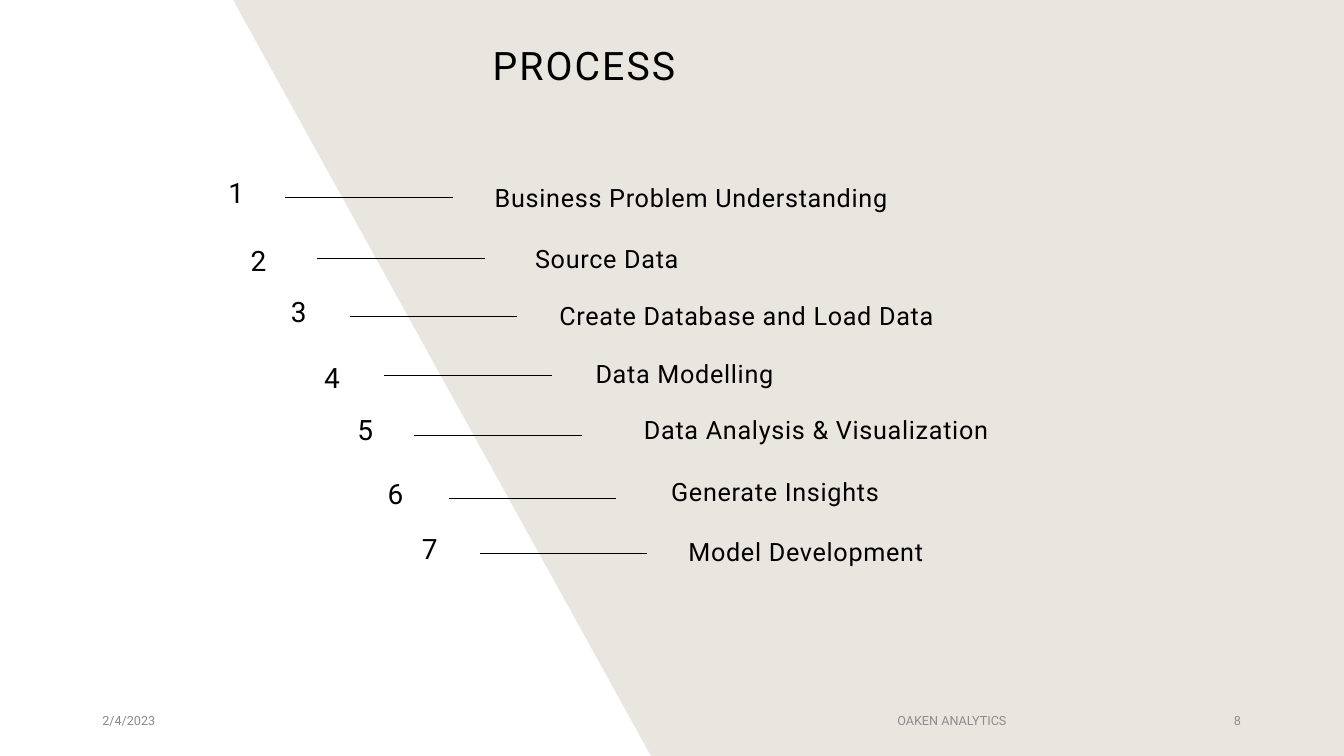
from dataclasses import dataclass

from pptx import Presentation
from pptx.dml.color import RGBColor
from pptx.enum.shapes import MSO_CONNECTOR
from pptx.enum.text import MSO_ANCHOR, PP_ALIGN
from pptx.oxml.ns import qn
from pptx.util import Pt

LEFT, CENTER, RIGHT = PP_ALIGN.LEFT, PP_ALIGN.CENTER, PP_ALIGN.RIGHT
TOP, MIDDLE = MSO_ANCHOR.TOP, MSO_ANCHOR.MIDDLE
STRAIGHT = MSO_CONNECTOR.STRAIGHT


@dataclass(frozen=True)
class Theme:
    """Colours, font and type sizes of the slide."""
    font: str = "Roboto"
    ink: str = "000000"
    sand: str = "E9E6DF"
    date: str = "898989"
    footer: str = "8C8C8C"
    title_size: int = 28
    number_size: int = 20
    label_size: int = 18
    footer_size: int = 9


class SlideBuilder:
    """Draws styled elements on one slide, with lengths in points."""

    def __init__(self, slide, theme):
        self.slide = slide
        self.theme = theme

    def text(self, text, left, top, width, height, *, size, color=None,
             align=LEFT, anchor=MIDDLE, line_spacing=None, tracking=0):
        """Add a text box holding one formatted paragraph."""
        box = self.slide.shapes.add_textbox(Pt(left), Pt(top), Pt(width), Pt(height))
        frame = box.text_frame
        frame.word_wrap = True
        frame.vertical_anchor = anchor
        paragraph = frame.paragraphs[0]
        paragraph.alignment = align
        if line_spacing:
            paragraph.line_spacing = line_spacing
        run = paragraph.add_run()
        run.text = text
        run.font.name = self.theme.font
        run.font.size = Pt(size)
        run.font.color.rgb = RGBColor.from_string(color or self.theme.ink)
        if tracking:
            run.font._element.set("spc", str(int(tracking * 100)))

    def rule(self, left, top, length):
        """Add a thin horizontal line."""
        line = self.slide.shapes.add_connector(
            STRAIGHT, Pt(left), Pt(top), Pt(left + length), Pt(top))
        line.line.color.rgb = RGBColor.from_string(self.theme.ink)
        line.line.width = Pt(0.5)
        properties = line._element.spPr
        properties.append(properties.makeelement(qn("a:effectLst"), {}))

    def panel(self, points):
        """Add a filled polygon without an outline."""
        corners = [(Pt(x), Pt(y)) for x, y in points]
        builder = self.slide.shapes.build_freeform(*corners[0])
        builder.add_line_segments(corners[1:], close=True)
        shape = builder.convert_to_shape()
        shape.shadow.inherit = False
        shape.fill.solid()
        shape.fill.fore_color.rgb = RGBColor.from_string(self.theme.sand)
        shape.line.fill.background()

    def step(self, number, label, number_at, rule_at, label_at):
        """Add a numbered step with its rule and label."""
        self.text(str(number), *number_at, 168.5, 40.3, size=self.theme.number_size,
                  align=RIGHT, line_spacing=0.9)
        self.rule(*rule_at, 119.8)
        self.text(label, *label_at, 401.8, 37.4, size=self.theme.label_size,
                  anchor=TOP, tracking=0.5)


STEPS = [
    ("Business Problem Understanding", (13, 118.8), (203.6, 141.3), (346.3, 126.7)),
    ("Source Data", (28.8, 167), (226.3, 184.4), (375.1, 169.9)),
    ("Create Database and Load Data", (57.6, 203.8), (249.8, 226.1), (392.4, 211)),
    ("Data Modelling", (81.4, 250.6), (274.4, 268.4), (418.3, 252.7)),
    ("Data Analysis & Visualization", (105.1, 288), (295.8, 311), (452.9, 292.3)),
    ("Generate Insights", (126.7, 333.4), (320.4, 355.8), (472.3, 337)),
    ("Model Development", (151.2, 373), (342.7, 395.3), (484.6, 379.4)),
]


def main():
    """Build and save the process slide."""
    presentation = Presentation()
    presentation.slide_width, presentation.slide_height = Pt(960), Pt(540)
    theme = Theme()
    slide = presentation.slides.add_slide(presentation.slide_layouts[6])
    builder = SlideBuilder(slide, theme)

    builder.panel([(465, 540), (166.5, 0), (960, 0), (960, 540)])
    builder.text("PROCESS", 344.9, 25.2, 321, 46, size=theme.title_size,
                 line_spacing=0.9, tracking=1.5)
    for number, step in enumerate(STEPS, start=1):
        builder.step(number, *step)

    footers = [
        ("2/4/2023", 66, 216, LEFT, theme.date),
        ("OAKEN ANALYTICS", 531.2, 297.4, CENTER, theme.footer),
        ("8", 851, 42.5, RIGHT, theme.footer),
    ]
    for text, left, width, align, color in footers:
        builder.text(text, left, 500.5, width, 28.8, size=theme.footer_size,
                     color=color, align=align)

    presentation.save("out.pptx")


if __name__ == "__main__":
    main()
